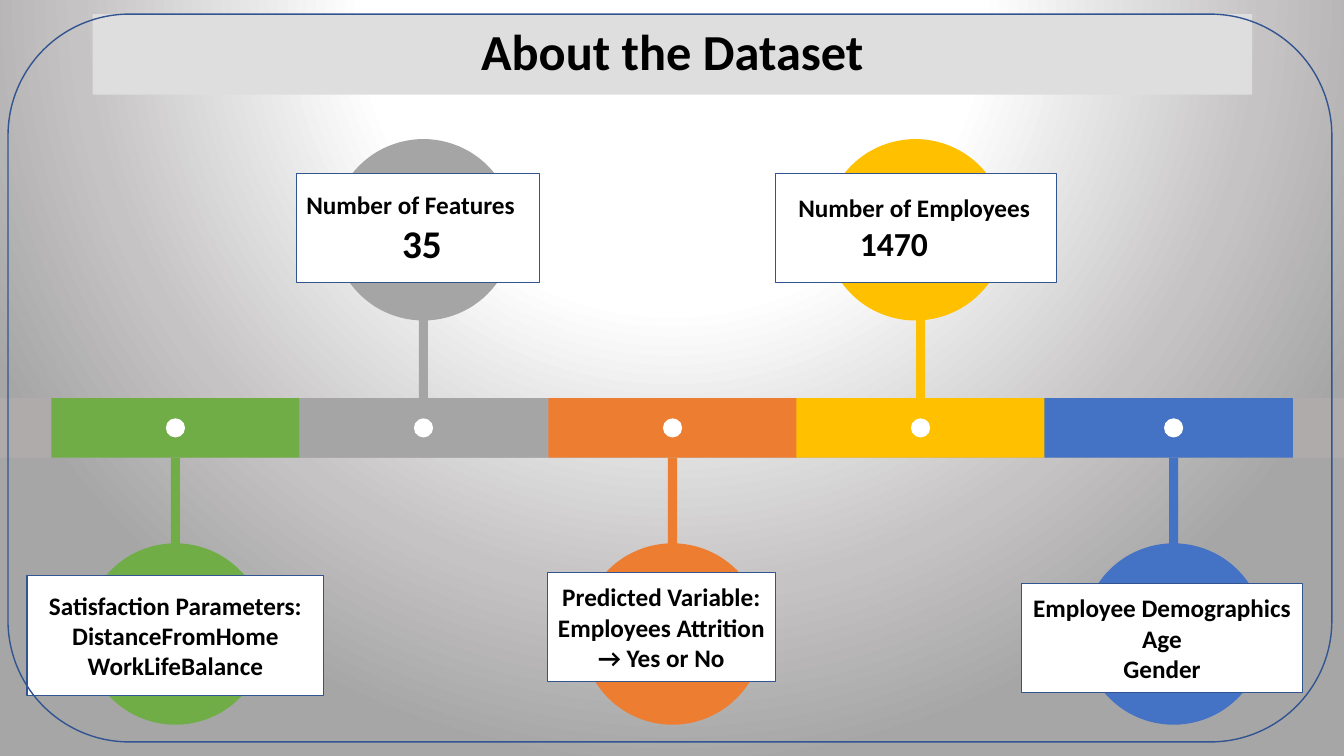
from pptx import Presentation, util as u
from pptx.dml import color
from pptx.enum import shapes, text
from pptx.oxml import parse_xml
from pptx.oxml.ns import nsdecls

PX = 9144
COLORS = {
    "white": "FFFFFF", "black": "000000", "band": "AFABAB", "title": "DEDEDE",
    "silver": "C5C3C3", "steel": "A6A6A6", "outline": "325491",
    "green": "70AD47", "gray": "A5A5A5", "orange": "ED7D31",
    "yellow": "FFC000", "blue": "4472C4",
}
BACKDROP = [(0, "white"), (40, "white"), (77, "silver"), (100, "steel")]
SEGMENT_LEFT, SEGMENT_WIDTH = 51, 246.3
BAND_TOP, BAND_HEIGHT = 395, 59
STEM_WIDTH, STEM_LENGTH = 9, 130
DOT, CIRCLE = 19, 180
CENTERED = None

MILESTONES = [
    ("green", False, 174, 174, (27, 571, 294, 119),
     [("Satisfaction Parameters:", 18, CENTERED),
      ("DistanceFromHome", 18, CENTERED),
      ("WorkLifeBalance", 18, CENTERED)]),
    ("gray", True, 420, 420, (294, 172, 241, 108),
     [("Number of Features", 18, 0), ("35", 28, 95)]),
    ("orange", False, 667, 667, (543, 568, 226, 108),
     [("Predicted Variable:", 18, CENTERED),
      ("Employees Attrition → Yes or No", 18, CENTERED)]),
    ("yellow", True, 913, 908, (769, 172, 279, 108),
     [("Number of Employees", 18, 13), ("1470", 24, 74)]),
    ("blue", False, 1164, 1164, (1013, 579, 279, 108),
     [("Employee Demographics", 18, CENTERED), ("Age", 18, CENTERED),
      ("Gender", 18, CENTERED)]),
]


class Slide:
    font = "Calibri"

    def __init__(self, deck):
        self.page = deck.slides.add_slide(deck.slide_layouts[6])

    def backdrop(self, stops):
        self.page.background.fill.gradient()
        old = self.page.element.xpath(".//a:gradFill")[0]
        marks = "".join(
            f'<a:gs pos="{pos * 1000}"><a:srgbClr val="{COLORS[shade]}"/></a:gs>'
            for pos, shade in stops)
        new = parse_xml(
            f'<a:gradFill {nsdecls("a")} rotWithShape="1"><a:gsLst>{marks}</a:gsLst>'
            '<a:path path="circle"><a:fillToRect l="50000" t="-80000" '
            'r="50000" b="180000"/></a:path></a:gradFill>')
        old.getparent().replace(old, new)

    def shape(self, kind, left, top, width, height, fill=None, line=None):
        box = self.page.shapes.add_shape(
            kind, *(round(v * PX) for v in (left, top, width, height)))
        box.shadow.inherit = False
        if fill:
            box.fill.solid()
            box.fill.fore_color.rgb = color.RGBColor.from_string(COLORS[fill])
        else:
            box.fill.background()
        if line:
            box.line.color.rgb = color.RGBColor.from_string(COLORS[line])
            box.line.width = u.Pt(1)
        else:
            box.line.fill.background()
        return box

    def rect(self, *place, fill=None, line=None):
        return self.shape(shapes.MSO_SHAPE.RECTANGLE, *place, fill, line)

    def disc(self, x, y, size, fill):
        return self.shape(shapes.MSO_SHAPE.OVAL, x - size / 2, y - size / 2,
                          size, size, fill)

    def label(self, box, lines, spacing=1.0):
        frame = box.text_frame
        frame.word_wrap = True
        frame.vertical_anchor = text.MSO_ANCHOR.MIDDLE
        frame.text = "\n".join(wording for wording, _, _ in lines)
        for para, (_, size, indent) in zip(frame.paragraphs, lines):
            para.line_spacing = spacing
            if indent is CENTERED:
                para.alignment = text.PP_ALIGN.CENTER
            else:
                para.alignment = text.PP_ALIGN.LEFT
                para._p.get_or_add_pPr().set("marL", str(indent * PX))
            for span in para.runs:
                span.font.name = self.font
                span.font.size = u.Pt(size)
                span.font.bold = True
                span.font.color.rgb = color.RGBColor.from_string(COLORS["black"])

    def milestone(self, index, shade, above, stem_x, circle_x, place, lines):
        self.rect(round(SEGMENT_LEFT + index * SEGMENT_WIDTH), BAND_TOP,
                  SEGMENT_WIDTH, BAND_HEIGHT, fill=shade)
        stem_top = BAND_TOP - STEM_LENGTH if above else BAND_TOP + BAND_HEIGHT
        self.rect(stem_x - STEM_WIDTH / 2, stem_top, STEM_WIDTH, STEM_LENGTH,
                  fill=shade)
        self.disc(stem_x, BAND_TOP + BAND_HEIGHT / 2, DOT, "white")
        self.disc(circle_x, 228 if above else 629, CIRCLE, shade)
        self.label(self.rect(*place, fill="white", line="outline"), lines)


def main():
    deck = Presentation()
    deck.slide_width, deck.slide_height = 1333 * PX, 750 * PX
    slide = Slide(deck)
    slide.backdrop(BACKDROP)
    slide.rect(0, BAND_TOP, 1333, BAND_HEIGHT, fill="band")
    title = slide.rect(92, 14, 1150, 80, fill="title")
    slide.label(title, [("About the Dataset", 36, CENTERED)], spacing=0.9)
    for index, milestone in enumerate(MILESTONES):
        slide.milestone(index, *milestone)
    slide.shape(shapes.MSO_SHAPE.ROUNDED_RECTANGLE, 8, 14, 1313, 722,
                line="outline")
    deck.save("out.pptx")


if __name__ == "__main__":
    main()
